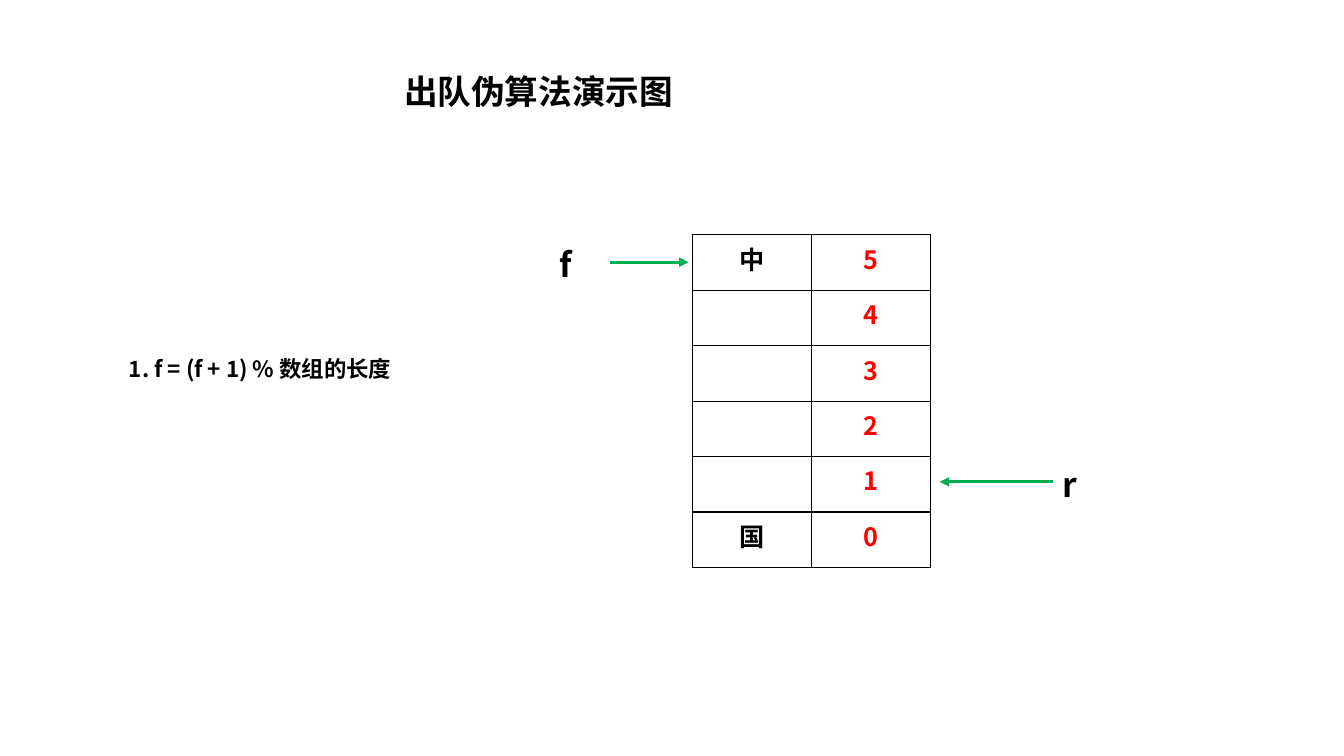
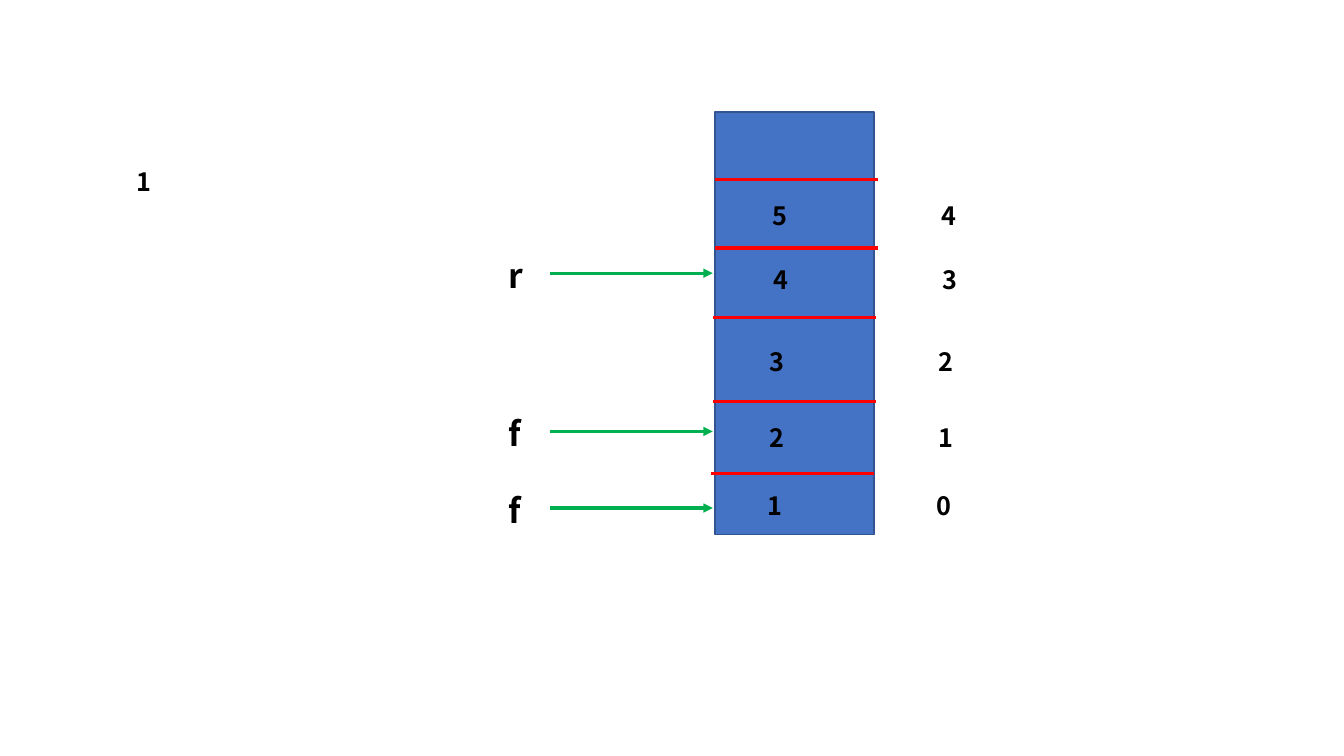
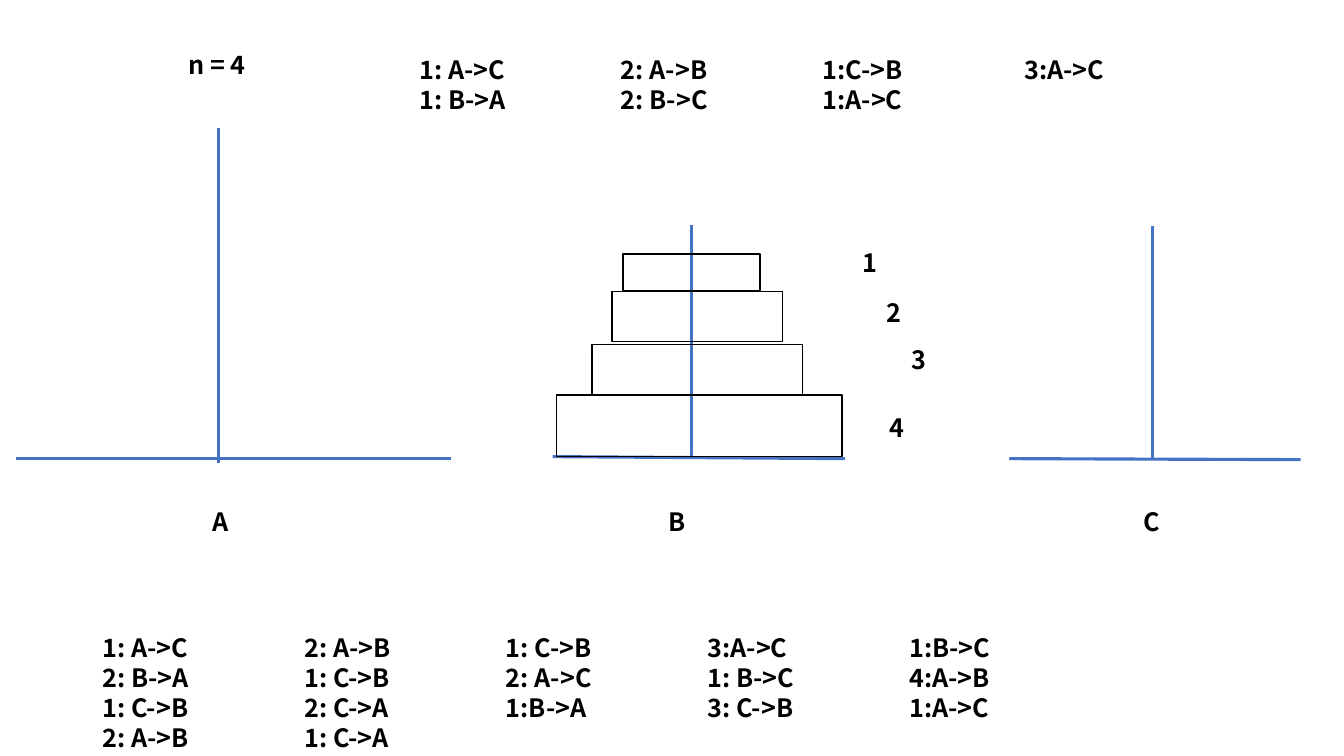
import lxml.etree
import pptx
import pptx.dml.color
import pptx.enum.shapes
import pptx.enum.text
import pptx.oxml.ns
import pptx.util

Inches = pptx.util.Inches
Pt = pptx.util.Pt
qn = pptx.oxml.ns.qn

FONT = "Noto Sans CJK SC"
BLACK, WHITE, RED = "000000", "FFFFFF", "FF0000"
GREEN, BLUE, NAVY = "00B050", "4472C4", "325491"
BODY, POINTER = 18, 24
LINE_WIDTH = 2.25
LABEL_WIDTH, LABEL_HEIGHT = 0.79, 0.4
POINTER_SIZE = 0.5
TAB_STEP, TAB_COUNT = 2, 4

# Slide 1: ring queue
TITLE = "出队伪算法演示图"
FORMULA = "1. f = (f + 1) % 数组的长度"
QUEUE = [("中", "5"), ("", "4"), ("", "3"), ("", "2"), ("", "1"), ("国", "0")]
QUEUE_LEFT, QUEUE_TOP, CELL_WIDTH, CELL_HEIGHT = 6.87, 2.33, 1.18, 0.55
# name, label left, label top, arrow start, arrow end
QUEUE_POINTERS = [("f", 5.45, 2.35, 6.05, 6.83), ("r", 10.44, 4.53, 10.44, 9.32)]

# Slide 2: array
ARRAY_BOX = (7.09, 1.11, 1.58, 4.19)
DIVIDER_LENGTH = 1.62
DIVIDERS = [(7.09, 1.78), (7.09, 2.46), (7.07, 3.15), (7.07, 3.98), (7.05, 4.7)]
STEP_LABEL = ("1", 1.26, 1.58)
ARRAY_VALUES = [(1, 7.51, 4.79), (2, 7.53, 4.12), (3, 7.53, 3.37),
                (4, 7.57, 2.55), (5, 7.56, 1.92)]
INDEX_OFFSET = 1.68
ARRAY_POINTERS = [("f", 4.79), ("f", 4.03), ("r", 2.46)]
ARRAY_POINTER_LEFT, ARRAY_ARROW_LENGTH = 4.95, 1.62

# Slide 3: tower of Hanoi
DISK_COUNT = "n = 4"
TOP_MOVES = [["1: A->C", "2: A->B", "1:C->B", "3:A->C"],
             ["1: B->A", "2: B->C", "1:A->C"]]
BOTTOM_MOVES = [["1: A->C", "2: A->B", "1: C->B", "3:A->C", "1:B->C"],
                ["2: B->A", "1: C->B", "2: A->C", "1: B->C", "4:A->B"],
                ["1: C->B", "2: C->A", "1:B->A", "3: C->B", "1:A->C"],
                ["2: A->B", "1: C->A"]]
# name, label left, pole (x, top, bottom), base (start x, y, end x, y)
PEGS = [("A", 2.01, (2.17, 1.27, 4.59), (0.16, 4.55, 4.47, 4.55)),
        ("B", 6.53, (6.86, 2.23, 4.55), (5.48, 4.53, 8.38, 4.55)),
        ("C", 11.24, (11.43, 2.24, 4.56), (10.01, 4.55, 12.9, 4.56))]
PEG_LABEL_TOP = 4.95
# name, label position, disk box
DISKS = [("1", (8.46, 2.38), (6.18, 2.52, 1.36, 0.36)),
         ("2", (8.69, 2.88), (6.07, 2.89, 1.69, 0.5)),
         ("3", (8.94, 3.35), (5.87, 3.42, 2.09, 0.5)),
         ("4", (8.72, 4.02), (5.52, 3.92, 2.83, 0.61))]


def color(value):
    """Turn a hex string into a colour."""
    return pptx.dml.color.RGBColor.from_string(value)


def write(frame, text, size=BODY, ink=BLACK, align=None, spacing=None, tabs=False):
    """Write text, one paragraph a line, into a text frame."""
    for number, line in enumerate(text.split("\n")):
        paragraph = frame.add_paragraph() if number else frame.paragraphs[0]
        paragraph.alignment = align
        if spacing:
            paragraph.line_spacing = Pt(size * spacing)
        if tabs:
            properties = paragraph._p.get_or_add_pPr()
            stops = lxml.etree.SubElement(properties, qn("a:tabLst"))
            for stop in range(1, TAB_COUNT + 1):
                lxml.etree.SubElement(stops, qn("a:tab"), algn="l",
                                      pos=str(Inches(stop * TAB_STEP)))
        run = paragraph.add_run()
        run.text = line
        run.font.size, run.font.bold, run.font.name = Pt(size), True, FONT
        run.font.color.rgb = color(ink)
        east_asian = lxml.etree.SubElement(run._r.get_or_add_rPr(), qn("a:ea"))
        east_asian.set("typeface", FONT)


def add_text(slide, text, left, top, width=LABEL_WIDTH, height=LABEL_HEIGHT, **style):
    """Add a text box at a place given in inches."""
    box = slide.shapes.add_textbox(*map(Inches, (left, top, width, height)))
    frame = box.text_frame
    frame.word_wrap = True
    frame.margin_top, frame.margin_bottom = Inches(0.07), Inches(0.03)
    frame.auto_size = pptx.enum.text.MSO_AUTO_SIZE.SHAPE_TO_FIT_TEXT
    write(frame, text, spacing=1.2, **style)


def add_line(slide, start_x, start_y, end_x, end_y, ink, arrow=False):
    """Draw a straight line, with an arrowhead at its end on request."""
    line = slide.shapes.add_connector(
        pptx.enum.shapes.MSO_CONNECTOR.STRAIGHT,
        *map(Inches, (start_x, start_y, end_x, end_y)))
    line.line.color.rgb = color(ink)
    line.line.width = Pt(LINE_WIDTH)
    if arrow:
        lxml.etree.SubElement(line.line._get_or_add_ln(), qn("a:tailEnd"), type="triangle")
    lxml.etree.SubElement(line._element.spPr, qn("a:effectLst"))


def add_box(slide, box, outline, fill=None):
    """Draw a rectangle, hollow unless a fill is given."""
    shape = slide.shapes.add_shape(pptx.enum.shapes.MSO_SHAPE.RECTANGLE, *map(Inches, box))
    shape.shadow.inherit = False
    if fill:
        shape.fill.solid()
        shape.fill.fore_color.rgb = color(fill)
    else:
        shape.fill.background()
    shape.line.color.rgb = color(outline)
    shape.line.width = Pt(1)


def add_pointer(slide, name, left, top, start, end):
    """Add a pointer name and the level arrow that goes with it."""
    add_text(slide, name, left, top, POINTER_SIZE, POINTER_SIZE, size=POINTER)
    middle = top + POINTER_SIZE / 2
    add_line(slide, start, middle, end, middle, GREEN, arrow=True)


def add_borders(cell):
    """Give a cell a thin black border on all sides."""
    properties = cell._tc.get_or_add_tcPr()
    for position, side in enumerate(("lnL", "lnR", "lnT", "lnB")):
        border = lxml.etree.Element(qn("a:" + side), w=str(Pt(1)))
        fill = lxml.etree.SubElement(border, qn("a:solidFill"))
        lxml.etree.SubElement(fill, qn("a:srgbClr"), val=BLACK)
        properties.insert(position, border)


def add_queue(slide):
    """Add the table of queue items and their indexes."""
    columns, rows = len(QUEUE[0]), len(QUEUE)
    table = slide.shapes.add_table(rows, columns, *map(Inches, (
        QUEUE_LEFT, QUEUE_TOP, columns * CELL_WIDTH, rows * CELL_HEIGHT))).table
    table.first_row = table.horz_banding = False
    for column in table.columns:
        column.width = Inches(CELL_WIDTH)
    for row_number, row in enumerate(QUEUE):
        table.rows[row_number].height = Inches(CELL_HEIGHT)
        for column_number, (text, ink) in enumerate(zip(row, (BLACK, RED))):
            cell = table.cell(row_number, column_number)
            cell.fill.solid()
            cell.fill.fore_color.rgb = color(WHITE)
            add_borders(cell)
            if text:
                write(cell.text_frame, text, ink=ink, align=pptx.enum.text.PP_ALIGN.CENTER)


def add_moves(slide, moves, left, top, width):
    """Add rows of moves set in columns by tab stops."""
    text = "\n".join("\t".join(row) for row in moves)
    add_text(slide, text, left, top, width, 0.1 + 0.3 * len(moves), tabs=True)


def build_queue_slide(slide):
    """Show the dequeue step on a ring queue."""
    add_queue(slide)
    for pointer in QUEUE_POINTERS:
        add_pointer(slide, *pointer)
    add_text(slide, TITLE, 3.91, 0.63, 7.19, 0.5, size=24)
    add_text(slide, FORMULA, 1.18, 3.45, 3.09, 0.37, size=16)


def build_array_slide(slide):
    """Show the array with its values, indexes and pointers."""
    add_box(slide, ARRAY_BOX, NAVY, BLUE)
    for left, top in DIVIDERS:
        add_line(slide, left, top, left + DIVIDER_LENGTH, top, RED)
    add_text(slide, *STEP_LABEL)
    for value, left, top in ARRAY_VALUES:
        add_text(slide, str(value), left, top)
        add_text(slide, str(value - 1), left + INDEX_OFFSET, top)
    start = ARRAY_POINTER_LEFT + POINTER_SIZE
    for name, top in ARRAY_POINTERS:
        add_pointer(slide, name, ARRAY_POINTER_LEFT, top, start, start + ARRAY_ARROW_LENGTH)


def build_hanoi_slide(slide):
    """Show the pegs, the disks and the lists of moves."""
    add_moves(slide, TOP_MOVES, 4.06, 0.47, 7.25)
    for name, label_left, (x, top, bottom), base in PEGS:
        add_line(slide, x, top, x, bottom, BLUE)
        add_line(slide, *base, BLUE)
        add_text(slide, name, label_left, PEG_LABEL_TOP)
    for name, label_place, box in DISKS:
        add_box(slide, box, BLACK)
        add_text(slide, name, *label_place)
    add_text(slide, DISK_COUNT, 1.77, 0.42, 1.83)
    add_moves(slide, BOTTOM_MOVES, 0.92, 6.2, 10.2)


presentation = pptx.Presentation()
presentation.slide_width, presentation.slide_height = Inches(13.33), Inches(7.5)
for build in (build_queue_slide, build_array_slide, build_hanoi_slide):
    build(presentation.slides.add_slide(presentation.slide_layouts[6]))
presentation.save("out.pptx")
